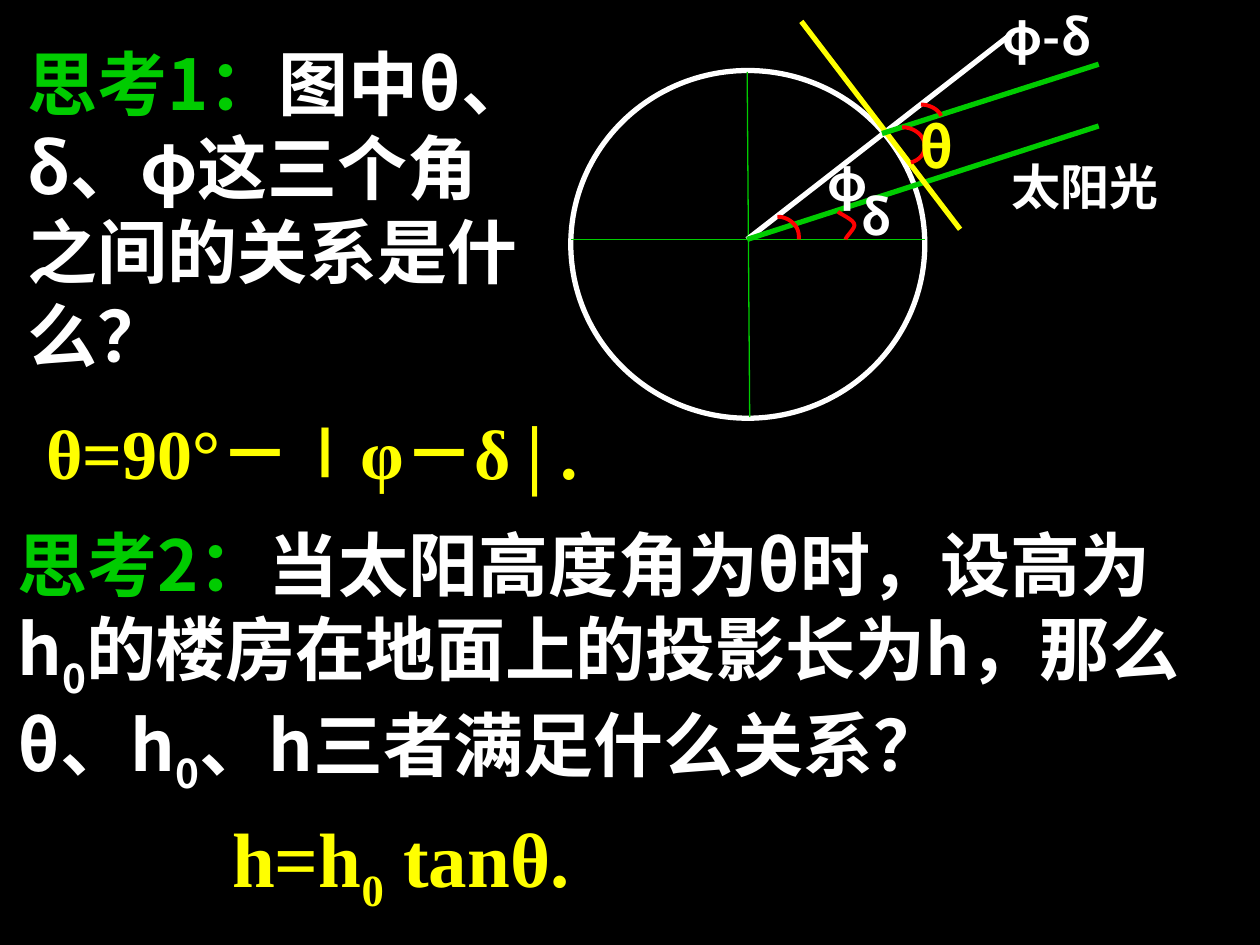
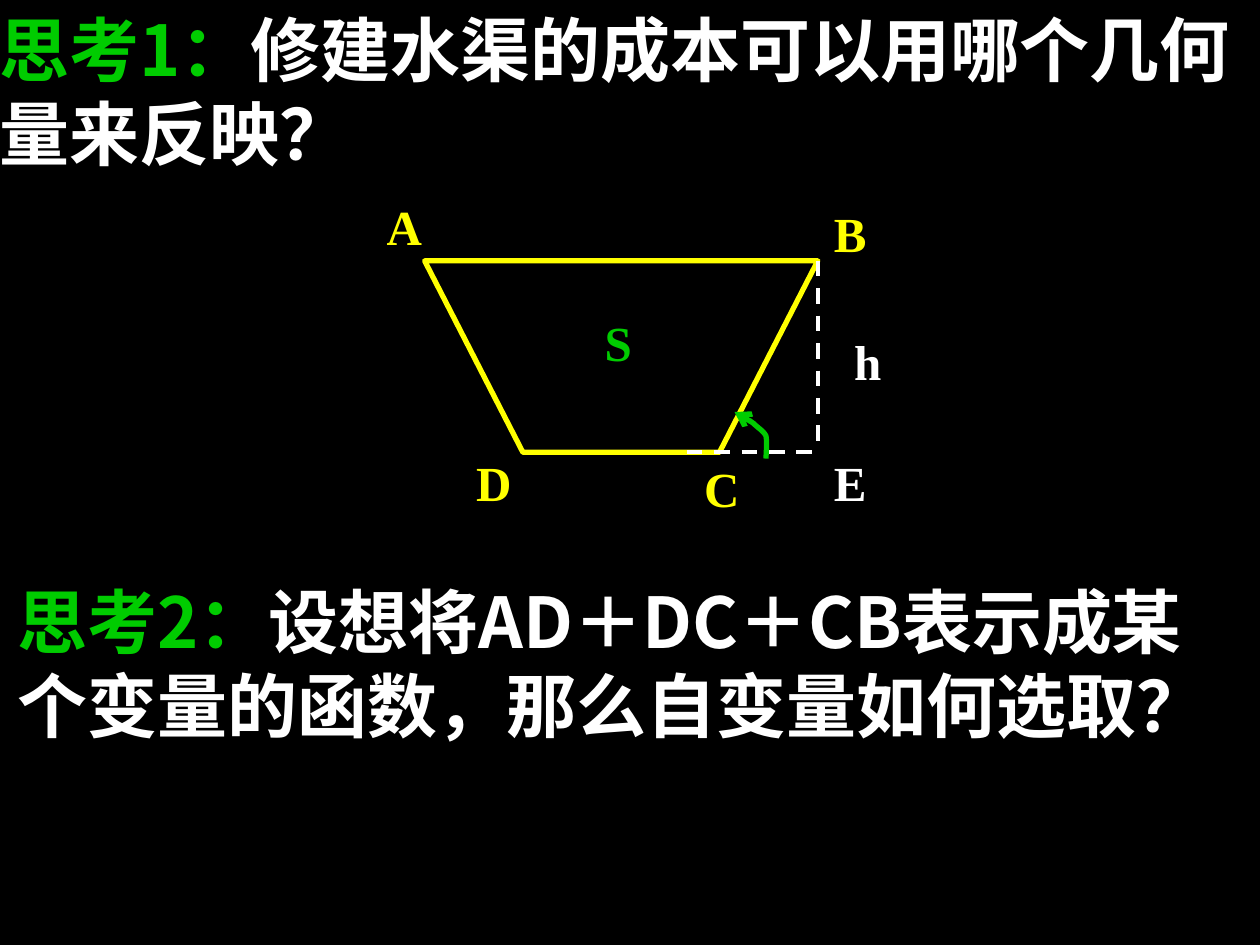
from dataclasses import dataclass
from typing import Optional

from lxml import etree
from pptx import Presentation
from pptx import util as u
from pptx.dml import color as dml_color
from pptx.enum import dml, shapes, text
from pptx.oxml import ns

COLORS = {
    "background": "000000",
    "white": "FFFFFF",
    "green": "00CC00",
    "yellow": "FFFF00",
    "red": "FF0000",
}
SANS, SERIF, ARIAL = "Noto Sans CJK SC", "Times New Roman", "Arial"
LABEL_SIZE = 0.78, 0.76
CURVE_STEPS = 12

Point = tuple[float, float]


@dataclass(frozen=True)
class Run:
    text: str
    color: str = "white"
    font: str = SANS
    subscript: bool = False


@dataclass(frozen=True)
class Label:
    text: str
    left: float
    top: float
    width: float = LABEL_SIZE[0]
    height: float = LABEL_SIZE[1]
    color: str = "white"
    font: str = SERIF
    size: int = 28


@dataclass(frozen=True)
class Line:
    start: Point
    end: Point
    color: str
    width: float = 3
    dash: Optional[dml.MSO_LINE] = None


@dataclass(frozen=True)
class Curve:
    """Bezier chain: a start point, then three points for each segment."""
    points: tuple[Point, ...]
    color: str = "red"
    width: float = 2.25
    arrow: bool = False


def rgb(name: str) -> dml_color.RGBColor:
    return dml_color.RGBColor.from_string(COLORS[name])


def format_line(line, color: str, width: float) -> None:
    line.color.rgb = rgb(color)
    line.width = u.Pt(width)


def add_text(slide, runs: list[Run], *, left: float, top: float, width: float,
             height: float, size: int = 40, align=text.PP_ALIGN.LEFT):
    box = slide.shapes.add_textbox(*map(u.Inches, (left, top, width, height)))
    frame = box.text_frame
    frame.word_wrap = True
    paragraph = frame.paragraphs[0]
    paragraph.alignment = align
    for item in runs:
        run = paragraph.add_run()
        run.text = item.text
        run.font.size = u.Pt(size)
        run.font.bold = True
        run.font.color.rgb = rgb(item.color)
        run.font.name = item.font
        properties = run._r.get_or_add_rPr()
        etree.SubElement(properties, ns.qn("a:ea"), typeface=SANS)
        if item.subscript:
            properties.set("baseline", "-25000")
    return box


def add_labels(slide, labels: list[Label]) -> None:
    for label in labels:
        add_text(slide, [Run(label.text, label.color, label.font)],
                 left=label.left, top=label.top, width=label.width,
                 height=label.height, size=label.size,
                 align=text.PP_ALIGN.JUSTIFY)


def add_lines(slide, lines: list[Line]) -> None:
    for line in lines:
        connector = slide.shapes.add_connector(
            shapes.MSO_CONNECTOR.STRAIGHT,
            *map(u.Inches, (*line.start, *line.end)))
        format_line(connector.line, line.color, line.width)
        if line.dash is not None:
            connector.line.dash_style = line.dash
        etree.SubElement(connector._element.spPr, ns.qn("a:effectLst"))


def add_outline(slide, points: list[Point], color: str, width: float,
                close: bool = False):
    vertices = [(u.Inches(x), u.Inches(y)) for x, y in points]
    builder = slide.shapes.build_freeform(*vertices[0], scale=1.0)
    builder.add_line_segments(vertices[1:], close=close)
    shape = builder.convert_to_shape()
    shape.shadow.inherit = False
    shape.fill.background()
    format_line(shape.line, color, width)
    return shape


def sample_curve(points: tuple[Point, ...]) -> list[Point]:
    sampled = [points[0]]
    for first in range(0, len(points) - 1, 3):
        segment = points[first:first + 4]
        for step in range(1, CURVE_STEPS + 1):
            t = step / CURVE_STEPS
            weights = ((1 - t) ** 3, 3 * t * (1 - t) ** 2,
                       3 * t ** 2 * (1 - t), t ** 3)
            sampled.append(tuple(
                sum(weight * point[axis]
                    for weight, point in zip(weights, segment))
                for axis in (0, 1)))
    return sampled


def add_curves(slide, curves: list[Curve]) -> None:
    for curve in curves:
        shape = add_outline(slide, sample_curve(curve.points),
                            curve.color, curve.width)
        if curve.arrow:
            etree.SubElement(shape.line._get_or_add_ln(),
                             ns.qn("a:tailEnd"), type="arrow")


def build_sun_slide(slide) -> None:
    # Questions and answers
    add_text(slide, [Run("思考1：", "green"),
                     Run("图中θ、δ、φ这三个角之间的关系是什么？")],
             left=0.12, top=0.27, width=4.27, height=2.77)
    add_text(slide, [Run("θ=90°－∣φ－δ∣.", "yellow", SERIF)],
             left=0.27, top=3.2, width=5.77, height=0.77)
    add_text(slide, [Run("思考2：", "green"),
                     Run("当太阳高度角为θ时，设高为h"),
                     Run("0", subscript=True),
                     Run("的楼房在地面上的投影长为h，那么θ、h"),
                     Run("0", subscript=True),
                     Run("、h三者满足什么关系？")],
             left=0.04, top=4.09, width=9.47, height=2.29)
    add_text(slide, [Run(" h=h", "yellow", SERIF),
                     Run("0", "yellow", SERIF, subscript=True),
                     Run(" tanθ.", "yellow", SERIF)],
             left=1.59, top=6.38, width=3.88, height=0.94, size=44)

    # Earth
    earth = slide.shapes.add_shape(
        shapes.MSO_SHAPE.OVAL, *map(u.Inches, (4.53, 0.56, 2.81, 2.76)))
    earth.shadow.inherit = False
    earth.fill.background()
    format_line(earth.line, "white", 3)

    # Axes, radius, sunlight and tangent
    center = (5.93, 1.9)
    add_lines(slide, [
        Line((4.53, 1.9), (7.34, 1.9), "green", 0.75),
        Line((5.93, 0.57), (5.95, 3.31), "green", 0.75),
        Line(center, (8.04, 0.26), "white"),
        Line(center, (8.72, 1), "green"),
        Line((6.36, 0.17), (7.62, 1.82), "yellow"),
        Line((7, 1.06), (8.72, 0.51), "green"),
    ])

    # Angle marks
    add_curves(slide, [
        Curve(((6.17, 1.72), (6.26, 1.72), (6.34, 1.79), (6.34, 1.87),
               (6.34, 1.88), (6.34, 1.89), (6.34, 1.9))),
        Curve(((7.16, 1.01), (7.26, 1.01), (7.34, 1.08), (7.34, 1.16),
               (7.34, 1.22), (7.3, 1.27), (7.23, 1.29))),
        Curve(((7.31, 0.83), (7.38, 0.83), (7.45, 0.87), (7.47, 0.92))),
        Curve(((6.65, 1.68), (6.67, 1.7), (6.77, 1.74), (6.78, 1.78),
               (6.79, 1.81), (6.72, 1.87), (6.71, 1.9))),
    ])
    add_labels(slide, [
        Label("太阳光", 7.93, 1.19, 1.57, 0.8),
        Label("φ", 6.47, 1.16, font=SANS),
        Label("δ", 6.74, 1.43, font=SANS),
        Label("θ", 7.2, 0.84, color="yellow", font=SANS, size=32),
        Label("φ-δ", 7.86, 0, 1.31, font=SANS),
    ])


def build_canal_slide(slide) -> None:
    # Questions
    add_text(slide, [Run("思考", "green", ARIAL), Run("1：", "green"),
                     Run("修建水渠的成本可以用哪个几何量来反映？", font=ARIAL)],
             left=-0.1, top=0, width=10.1, height=1.44)
    add_text(slide, [Run("思考2：", "green"),
                     Run("设想将AD＋DC＋CB表示成某个变量的函数，"
                         "那么自变量如何选取？")],
             left=0.04, top=4.54, width=9.96, height=2.1)

    # Canal cross-section and its height
    corner_a, corner_b = (3.37, 2.07), (6.49, 2.07)
    corner_c, corner_d = (5.71, 3.59), (4.15, 3.59)
    foot_e = (6.49, 3.59)
    add_outline(slide, [corner_a, corner_d, corner_c, corner_b],
                "yellow", 3, close=True)
    add_lines(slide, [Line(start, foot_e, "white", 2.25, dml.MSO_LINE.DASH)
                      for start in ((5.45, 3.59), corner_b)])
    add_labels(slide, [
        Label("A", 2.97, 1.51, color="yellow"),
        Label("B", 6.52, 1.57, color="yellow"),
        Label("C", 5.49, 3.59, color="yellow"),
        Label("D", 3.68, 3.54, color="yellow"),
        Label("S", 4.7, 2.43, color="green"),
        Label("E", 6.52, 3.54),
        Label("h", 6.68, 2.58),
    ])

    # Slope angle
    add_curves(slide, [
        Curve(((6.08, 3.64), (6.08, 3.61), (6.09, 3.51), (6.08, 3.46),
               (6.06, 3.42), (6.02, 3.4), (5.98, 3.36),
               (5.94, 3.33), (5.86, 3.29), (5.83, 3.27)),
              color="green", width=3, arrow=True),
    ])


def main() -> None:
    presentation = Presentation()
    presentation.slide_width = u.Inches(10)
    presentation.slide_height = u.Inches(7.5)
    background = presentation.slide_master.background.fill
    background.solid()
    background.fore_color.rgb = rgb("background")
    for build in (build_sun_slide, build_canal_slide):
        build(presentation.slides.add_slide(presentation.slide_layouts[6]))
    presentation.save("out.pptx")


if __name__ == "__main__":
    main()
